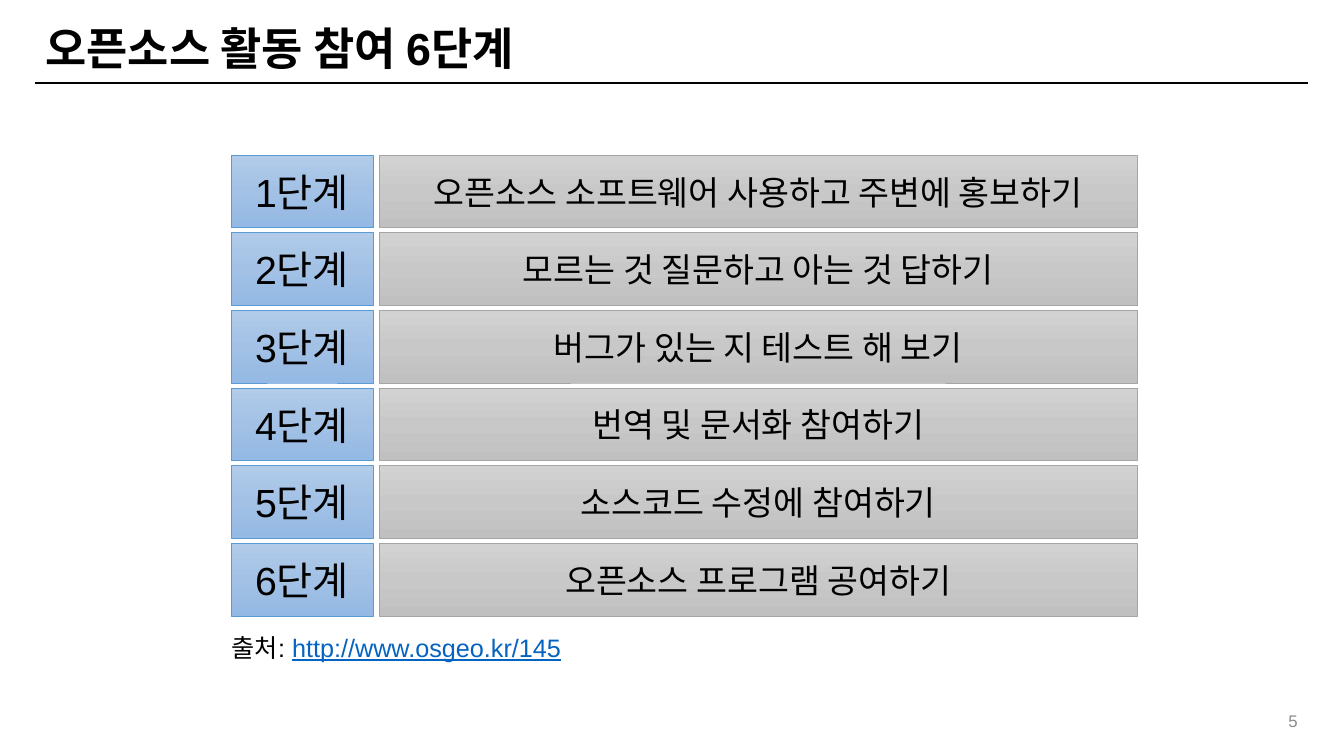
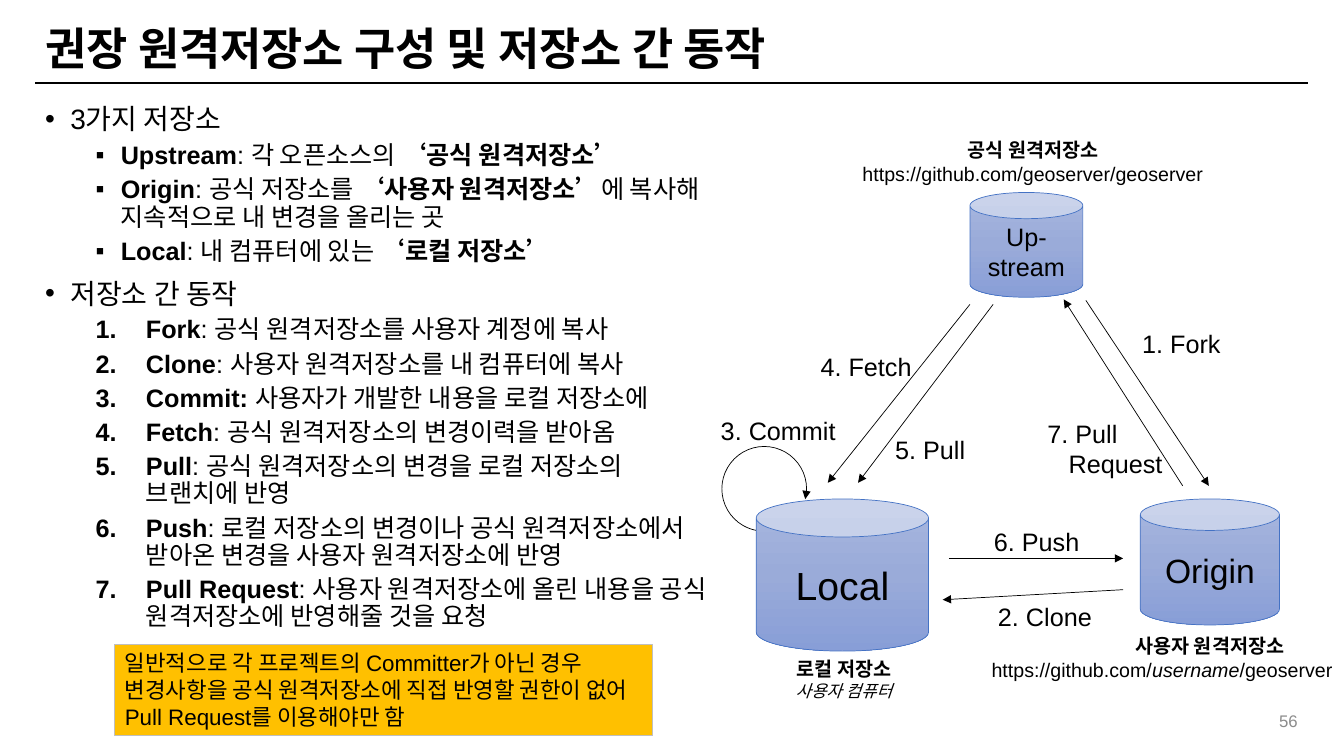
from copy import deepcopy
from dataclasses import dataclass
from typing import Optional, Sequence, Union

from lxml.etree import SubElement
from pptx import Presentation
from pptx.dml.color import RGBColor
from pptx.enum.shapes import MSO_CONNECTOR as Connector, MSO_SHAPE as Preset
from pptx.enum.text import MSO_ANCHOR as Anchor, MSO_AUTO_SIZE as AutoSize, PP_ALIGN as Align
from pptx.oxml.ns import qn
from pptx.util import Inches, Pt

FONT = "Arial"
BLACK = "000000"
LINK = "0563C1"
PAGE_GREY = "8C8C8C"
NOTE_FILL, NOTE_LINE = "FFC000", "BFBFBF"
MARGIN, CONTENT_WIDTH = 0.35, 12.62


@dataclass(frozen=True)
class Palette:
    stops: tuple[str, str, str]
    line: str


GREY = Palette(("D2D2D2", "C8C8C8", "C0C0C0"), "A5A5A5")
LIGHT_BLUE = Palette(("B1CBE9", "A3C1E5", "93B9E4"), "5B9BD5")
BLUE = Palette(("A8B7DF", "9AABD9", "889ED7"), "4472C4")


@dataclass(frozen=True)
class Run:
    text: str
    bold: bool = False
    italic: bool = False
    underline: bool = False
    colour: Optional[str] = None
    size: Optional[float] = None


@dataclass(frozen=True)
class Line:
    runs: tuple[Run, ...]
    level: int = 0
    indent: float = 0
    hanging: float = 0
    bullet: str = ""
    before: float = 0


@dataclass(frozen=True)
class Box:
    left: float
    top: float
    width: float
    height: float

    def lengths(self) -> tuple:
        return tuple(map(Inches, (self.left, self.top, self.width, self.height)))


@dataclass(frozen=True)
class Label:
    box: Box
    lines: tuple[Union[str, Line], ...]
    size: float = 18
    align: Align = Align.LEFT


@dataclass(frozen=True)
class Store:
    name: str
    box: Box
    size: float


@dataclass(frozen=True)
class Arrow:
    start: tuple[float, float]
    end: tuple[float, float]


STEPS = (
    "오픈소스 소프트웨어 사용하고 주변에 홍보하기",
    "모르는 것 질문하고 아는 것 답하기",
    "버그가 있는 지 테스트 해 보기",
    "번역 및 문서화 참여하기",
    "소스코드 수정에 참여하기",
    "오픈소스 프로그램 공여하기",
)

# Text between double asterisks is bold.
REPOSITORIES = (
    "**Upstream**: 각 오픈소스의 **‘공식 원격저장소’**",
    "**Origin**: 공식 저장소를 **‘사용자 원격저장소’**에 복사해 지속적으로 내 변경을 올리는 곳",
    "**Local**: 내 컴퓨터에 있는 **‘로컬 저장소’**",
)
ACTIONS = (
    "**Fork**: 공식 원격저장소를 사용자 계정에 복사",
    "**Clone**: 사용자 원격저장소를 내 컴퓨터에 복사",
    "**Commit: **사용자가 개발한 내용을 로컬 저장소에",
    "**Fetch**: 공식 원격저장소의 변경이력을 받아옴",
    "**Pull**: 공식 원격저장소의 변경을 로컬 저장소의 브랜치에 반영",
    "**Push**: 로컬 저장소의 변경이나 공식 원격저장소에서 받아온 변경을 사용자 원격저장소에 반영",
    "**Pull Request**: 사용자 원격저장소에 올린 내용을 공식 원격저장소에 반영해줄 것을 요청",
)
NOTE = ("일반적으로 각 프로젝트의 Committer가 아닌 경우 변경사항을 공식 원격저장소에 "
        "직접 반영할 권한이 없어 Pull Request를 이용해야만 함")

STORES = (
    Store("Up-stream", Box(9.62, 1.91, 1.12, 1.04), 18),
    Store("Origin", Box(11.31, 4.95, 1.38, 1.25), 24),
    Store("Local", Box(7.5, 4.95, 1.71, 1.51), 28),
)
ARROWS = (
    Arrow((10.77, 2.98), (11.99, 4.82)),
    Arrow((11.73, 4.82), (10.55, 2.97)),
    Arrow((9.62, 3.02), (8.21, 4.79)),
    Arrow((9.85, 3.02), (8.51, 4.79)),
    Arrow((9.41, 5.54), (11.14, 5.54)),
    Arrow((11.14, 5.85), (9.35, 5.95)),
)
LABELS = (
    Label(Box(11.23, 3.21, 0.99, 0.4), ("1. Fork",)),
    Label(Box(9.8, 5.92, 1.14, 0.4), ("2. Clone",)),
    Label(Box(7.05, 4.07, 1.35, 0.4), ("3. Commit",)),
    Label(Box(8.04, 3.44, 1.11, 0.4), ("4. Fetch",)),
    Label(Box(8.78, 4.26, 0.9, 0.4), ("5. Pull",)),
    Label(Box(9.76, 5.17, 1.06, 0.4), ("6. Push",)),
    Label(Box(10.29, 4.1, 1.35, 0.71), ("7. Pull", Line((Run("Request"),), indent=0.21))),
    Label(Box(7.74, 6.47, 1.26, 0.54),
          ("**로컬 저장소**", Line((Run("사용자 컴퓨터", italic=True, size=12),))), 14, Align.CENTER),
    Label(Box(8.45, 1.32, 3.59, 0.57),
          ("**공식 원격저장소**", "https://github.com/geoserver/geoserver"), 14, Align.CENTER),
    Label(Box(11.06, 6.24, 1.88, 0.34), ("**사용자 원격저장소**",), 14, Align.CENTER),
    Label(Box(9.73, 6.48, 3.59, 0.34),
          (Line((Run("https://github.com/"), Run("username", italic=True), Run("/geoserver"))),),
          14, Align.CENTER),
)


def rgb(colour: str) -> RGBColor:
    return RGBColor.from_string(colour)


def marked_runs(text: str, size: Optional[float] = None) -> tuple[Run, ...]:
    """Split text at double asterisks; every second part is bold."""
    parts = enumerate(text.split("**"))
    return tuple(Run(part, bold=index % 2 == 1, size=size) for index, part in parts if part)


def set_bullet(paragraph, line: Line) -> None:
    properties = paragraph._p.get_or_add_pPr()
    properties.set("marL", str(Inches(line.indent)))
    properties.set("indent", str(Inches(-line.hanging)))
    if line.bullet == "1.":
        SubElement(properties, qn("a:buFont"), typeface=FONT)
        SubElement(properties, qn("a:buAutoNum"), type="arabicPeriod")
    elif line.bullet:
        SubElement(properties, qn("a:buFont"), typeface=FONT)
        SubElement(properties, qn("a:buChar"), char=line.bullet)


def write_text(shape, lines: Sequence[Union[str, Line]], *, size: float = 18, colour: str = BLACK,
               align: Align = Align.LEFT, anchor: Anchor = Anchor.TOP, wrap: bool = True,
               grow: bool = False, spacing: Optional[float] = None) -> None:
    frame = shape.text_frame
    frame.word_wrap = wrap
    frame.auto_size = AutoSize.SHAPE_TO_FIT_TEXT if grow else AutoSize.NONE
    frame.vertical_anchor = anchor
    for index, item in enumerate(lines):
        line = Line(marked_runs(item)) if isinstance(item, str) else item
        paragraph = frame.add_paragraph() if index else frame.paragraphs[0]
        set_bullet(paragraph, line)
        paragraph.level = line.level
        paragraph.alignment = align
        paragraph.space_before = Pt(line.before if index else 0)
        if spacing:
            paragraph.line_spacing = spacing
        for part in line.runs:
            run = paragraph.add_run()
            run.text = part.text
            font = run.font
            font.name, font.size = FONT, Pt(part.size or size)
            font.bold, font.italic, font.underline = part.bold, part.italic, part.underline
            font.color.rgb = rgb(part.colour or colour)


def add_text(slide, box: Box, lines: Sequence[Union[str, Line]], **text_format) -> None:
    write_text(slide.shapes.add_textbox(*box.lengths()), lines, **text_format)


def set_line(shape, colour: str, width: float, arrow: bool = False) -> None:
    shape.line.color.rgb = rgb(colour)
    shape.line.width = Pt(width)
    if arrow:
        SubElement(shape.element.spPr.find(qn("a:ln")), qn("a:tailEnd"), type="triangle")


def add_line(slide, start: tuple[float, float], end: tuple[float, float],
             width: float, arrow: bool = False) -> None:
    connector = slide.shapes.add_connector(Connector.STRAIGHT, *map(Inches, (*start, *end)))
    set_line(connector, BLACK, width, arrow)
    SubElement(connector.element.spPr, qn("a:effectLst"))


def add_preset(slide, preset: Preset, box: Box):
    shape = slide.shapes.add_shape(preset, *box.lengths())
    shape.shadow.inherit = False
    return shape


def add_gradient_shape(slide, preset: Preset, box: Box, palette: Palette, text: str,
                       size: float) -> None:
    shape = add_preset(slide, preset, box)
    shape.fill.gradient()
    shape.fill.gradient_angle = 270
    stop_list = shape.element.spPr.find(".//" + qn("a:gsLst"))
    stop_list.append(deepcopy(stop_list[0]))
    for stop, colour, position in zip(shape.fill.gradient_stops, palette.stops, (0, 0.5, 1)):
        stop.color.rgb = rgb(colour)
        stop.position = position
    set_line(shape, palette.line, 0.5)
    write_text(shape, [text], size=size, align=Align.CENTER, anchor=Anchor.MIDDLE)


def add_titled_slide(presentation, title: str, page: int):
    slide = presentation.slides.add_slide(presentation.slide_layouts[5])
    placeholder = slide.shapes.title
    box = Box(MARGIN, 0.26, CONTENT_WIDTH, 0.5)
    placeholder.left, placeholder.top, placeholder.width, placeholder.height = box.lengths()
    write_text(placeholder, [f"**{title}**"], size=32, anchor=Anchor.MIDDLE, spacing=0.9)
    add_line(slide, (MARGIN, 0.82), (MARGIN + CONTENT_WIDTH, 0.82), 1.5)
    add_text(slide, Box(9.97, 6.95, 3, 0.4), [str(page)], size=12, colour=PAGE_GREY,
             align=Align.RIGHT, anchor=Anchor.MIDDLE)
    return slide


def build_steps_slide(presentation) -> None:
    slide = add_titled_slide(presentation, "오픈소스 활동 참여 6단계", 5)
    for index, step in enumerate(STEPS):
        top = 1.54 + 0.77 * index
        add_gradient_shape(slide, Preset.RECTANGLE, Box(3.76, top, 7.52, 0.72), GREY, step, 24)
        add_gradient_shape(slide, Preset.RECTANGLE, Box(2.29, top, 1.41, 0.72), LIGHT_BLUE,
                           f"{index + 1}단계", 28)
    source = Line((Run("출처: "), Run("http://www.osgeo.kr/145", underline=True, colour=LINK)))
    add_text(slide, Box(2.2, 6.22, 3.78, 0.4), [source], wrap=False, grow=True)


def outline() -> list[Line]:
    def heading(text: str) -> Line:
        return Line(marked_runs(text, 20), 0, 0.25, 0.25, "•", 10)

    return [
        heading("3가지 저장소"),
        *(Line(marked_runs(text), 1, 0.75, 0.25, "▪", 5) for text in REPOSITORIES),
        heading("저장소 간 동작"),
        *(Line(marked_runs(text), 1, 1, 0.5, "1.", 5) for text in ACTIONS),
    ]


def add_commit_loop(slide) -> None:
    loop = add_preset(slide, Preset.ARC, Box(7.16, 4.43, 0.84, 0.84))
    for index, degrees in enumerate((99.38, 14.17)):
        loop.adjustments[index] = degrees * 60000 / 100000
    loop.fill.background()
    set_line(loop, BLACK, 0.5, arrow=True)


def build_repositories_slide(presentation) -> None:
    slide = add_titled_slide(presentation, "권장 원격저장소 구성 및 저장소 간 동작", 56)
    add_text(slide, Box(MARGIN, 1, 6.77, 5.76), outline(), spacing=0.9)
    add_commit_loop(slide)
    for store in STORES:
        add_gradient_shape(slide, Preset.CAN, store.box, BLUE, store.name, store.size)
    for arrow in ARROWS:
        add_line(slide, arrow.start, arrow.end, 0.5, arrow=True)
    for label in LABELS:
        add_text(slide, label.box, label.lines, size=label.size, align=label.align,
                 wrap=False, grow=True)
    note = add_preset(slide, Preset.RECTANGLE, Box(1.14, 6.39, 5.33, 0.91))
    note.fill.solid()
    note.fill.fore_color.rgb = rgb(NOTE_FILL)
    set_line(note, NOTE_LINE, 0.75)
    write_text(note, [NOTE], size=16, grow=True)


def main() -> None:
    presentation = Presentation()
    presentation.slide_width, presentation.slide_height = Inches(13.33), Inches(7.5)
    build_steps_slide(presentation)
    build_repositories_slide(presentation)
    presentation.save("out.pptx")


if __name__ == "__main__":
    main()
